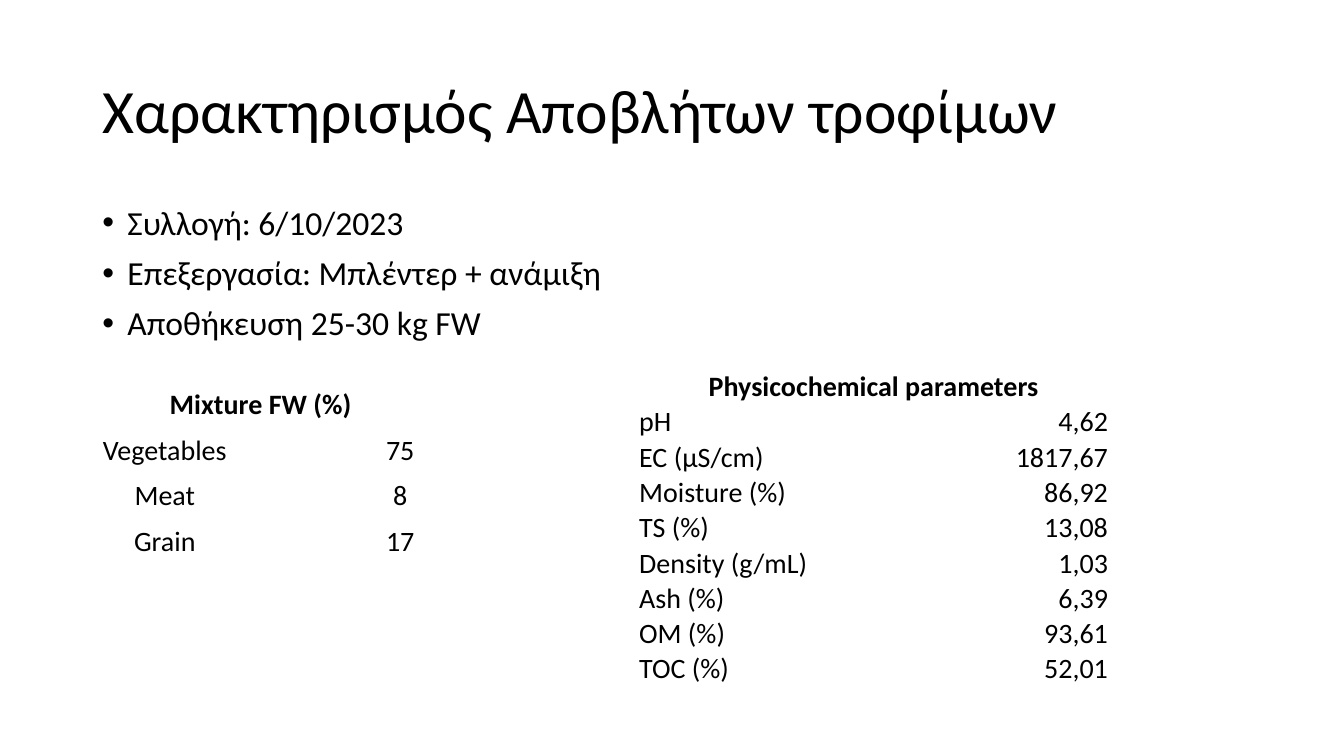
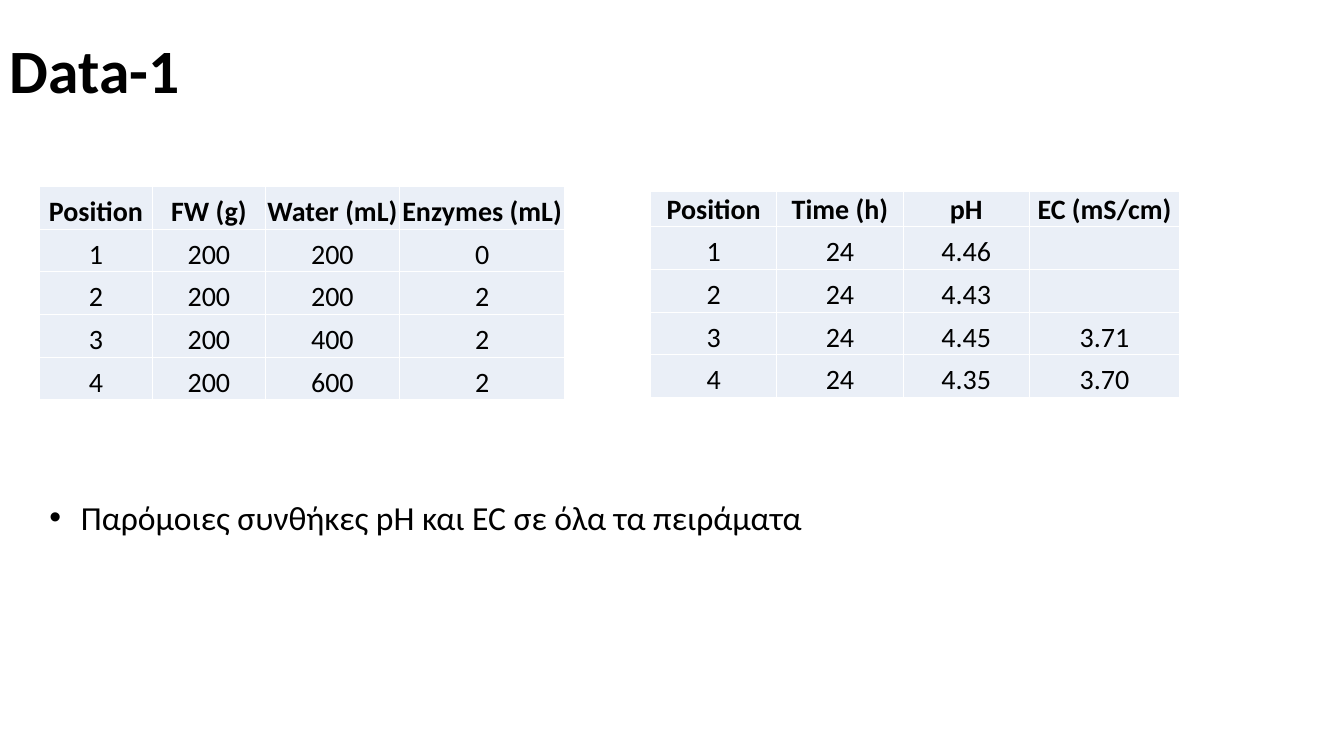
"""Build two slides on food waste characterisation and trial data."""
from lxml import etree
from pptx import Presentation
from pptx.dml.color import RGBColor
from pptx.enum import text
from pptx.oxml.ns import qn
from pptx.util import Pt

FONT, BLACK, WHITE, PALE = "Calibri", "000000", "FFFFFF", "EAEFF7"
NO_STYLE = "{2D5ABB26-0587-4C30-8999-92F81FD0307C}"
LEFT, CENTER, RIGHT = text.PP_ALIGN.LEFT, text.PP_ALIGN.CENTER, text.PP_ALIGN.RIGHT
MIDDLE = text.MSO_ANCHOR.MIDDLE
TITLE_SIZE = (828, 104.4)

SLIDES = [
    dict(
        title=dict(lines=["Χαρακτηρισμός Αποβλήτων τροφίμων"], box=(66, 28.75, *TITLE_SIZE)),
        bullets=dict(
            lines=["Συλλογή: 6/10/2023", "Επεξεργασία: Μπλέντερ + ανάμιξη", "Αποθήκευση 25-30 kg FW"],
            box=(66, 143.75, 828, 342.6), indent=18, spacing=0.9, before=10),
        tables=[
            dict(at=(18, 276.5), cols=[199.5, 136.8], heights=[25.2] + [32.5] * 3,
                 aligns=[CENTER, CENTER], rows=[
                     ["Mixture FW (%)"], ["Vegetables", "75"], ["Meat", "8"], ["Grain", "17"]]),
            dict(at=(455.8, 263.5), cols=[178, 158.4], heights=[25.2] * 9,
                 aligns=[LEFT, RIGHT], rows=[
                     ["Physicochemical parameters"], ["pH", "4,62"], ["EC (μS/cm)", "1817,67"],
                     ["Moisture (%)", "86,92"], ["TS (%)", "13,08"], ["Density (g/mL)", "1,03"],
                     ["Ash (%)", "6,39"], ["OM (%)", "93,61"], ["TOC (%)", "52,01"]]),
        ],
    ),
    dict(
        title=dict(lines=["Data-1"], box=(0, 0, *TITLE_SIZE), bold=True),
        bullets=dict(lines=["Παρόμοιες συνθήκες pH και EC σε όλα τα πειράματα"],
                     box=(28.2, 351.4, 591, 36), indent=22.5),
        tables=[
            dict(at=(28.2, 133.2), cols=[80.7, 80.7, 95.8, 118.1], heights=[30.5] * 5,
                 aligns=[CENTER] * 4, fill=PALE, rows=[
                     ["Position", "FW (g)", "Water (mL)", "Enzymes (mL)"],
                     ["1", "200", "200", "0"], ["2", "200", "200", "2"],
                     ["3", "200", "400", "2"], ["4", "200", "600", "2"]]),
            dict(at=(464.7, 136.8), cols=[90.2, 90.2, 90.2, 107.3], heights=[25.2] + [30.5] * 4,
                 aligns=[CENTER] * 4, fill=PALE, rows=[
                     ["Position", "Time (h)", "pH", "EC (mS/cm)"],
                     ["1", "24", "4.46", ""], ["2", "24", "4.43", ""],
                     ["3", "24", "4.45", "3.71"], ["4", "24", "4.35", "3.70"]]),
        ],
    ),
]


def rgb(color):
    return RGBColor.from_string(color)


def write(p, content, size=20, bold=False, color=BLACK, align=LEFT, spacing=None, before=0, indent=0):
    p.alignment, p.line_spacing, p.space_before = align, spacing, Pt(before)
    if indent:
        pPr = p._p.get_or_add_pPr()
        pPr.set("marL", str(Pt(indent)))
        pPr.set("indent", str(-Pt(indent)))
        etree.SubElement(pPr, qn("a:buFont"), typeface="Arial")
        etree.SubElement(pPr, qn("a:buChar"), char="•")
    r = p.add_run()
    r.text = content
    r.font.name, r.font.size, r.font.bold = FONT, Pt(size), bold
    r.font.color.rgb = rgb(color)


def add_text(s, lines, box, anchor=text.MSO_ANCHOR.TOP, **style):
    tf = s.shapes.add_textbox(*map(Pt, box)).text_frame
    tf.word_wrap, tf.vertical_anchor = True, anchor
    for i, line in enumerate(lines):
        write(tf.add_paragraph() if i else tf.paragraphs[0], line, **style)


def add_borders(cell, color=WHITE, width=1):
    tcPr = cell._tc.get_or_add_tcPr()
    for side in ("lnL", "lnR", "lnT", "lnB"):
        ln = etree.SubElement(tcPr, qn("a:" + side), w=str(Pt(width)))
        etree.SubElement(etree.SubElement(ln, qn("a:solidFill")), qn("a:srgbClr"), val=color)


def add_table(s, at, cols, heights, aligns, rows, fill=None):
    size = sum(cols), sum(heights)
    sp = s.shapes.add_table(len(rows), len(cols), *map(Pt, at + size))
    table = sp.table
    next(sp._element.iter(qn("a:tableStyleId"))).text = NO_STYLE
    table.first_row = table.horz_banding = False
    for column, width in zip(table.columns, cols):
        column.width = Pt(width)
    for i, (row, height) in enumerate(zip(rows, heights)):
        table.rows[i].height = Pt(height)
        if len(row) < len(cols):
            table.cell(i, 0).merge(table.cell(i, len(cols) - 1))
        for j, content in enumerate(row):
            cell = table.cell(i, j)
            cell.margin_left = cell.margin_right = cell.margin_top = Pt(0.75)
            cell.margin_bottom = 0
            cell.vertical_anchor = text.MSO_ANCHOR.BOTTOM
            if fill:
                add_borders(cell)
                cell.fill.solid()
                cell.fill.fore_color.rgb = rgb(fill)
            if content:
                write(cell.text_frame.paragraphs[0], content, bold=i == 0,
                      align=aligns[j] if i else CENTER)


def main():
    prs = Presentation()
    prs.slide_width, prs.slide_height = Pt(960), Pt(540)
    for content in SLIDES:
        s = prs.slides.add_slide(prs.slide_layouts[6])
        add_text(s, **content["title"], size=44, spacing=0.9, anchor=MIDDLE)
        add_text(s, **content["bullets"], size=24)
        for table in content["tables"]:
            add_table(s, **table)
    prs.save("out.pptx")


if __name__ == "__main__":
    main()
